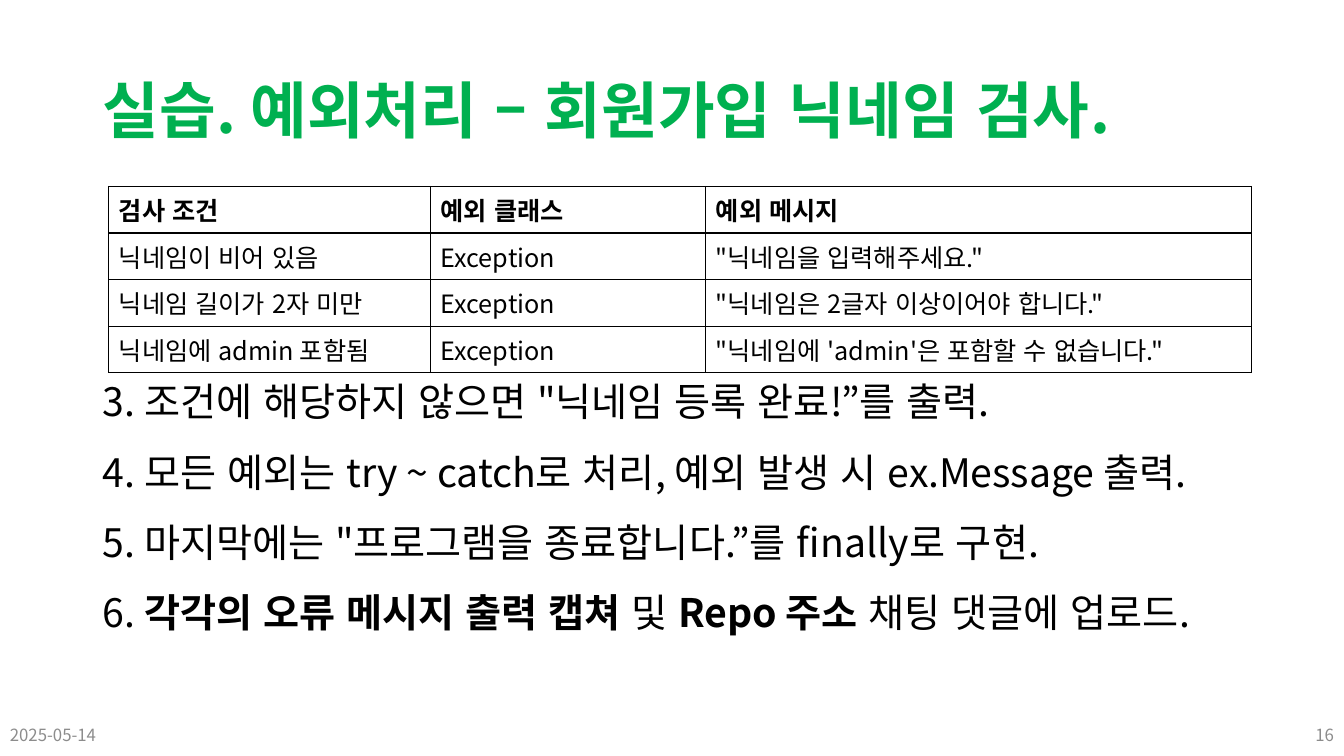
from dataclasses import dataclass

from lxml.etree import SubElement
from pptx import Presentation
from pptx.dml.color import RGBColor
from pptx.enum.lang import MSO_LANGUAGE_ID
from pptx.enum.text import MSO_ANCHOR, MSO_AUTO_SIZE, PP_ALIGN
from pptx.oxml.ns import qn
from pptx.util import Inches, Pt

FONT = "Noto Sans CJK KR"
COLORS = {"title": "00B050", "text": "000000", "foot": "8C8C8C", "line": "000000"}


@dataclass
class Box:
    left: float
    top: float
    width: float
    height: float

    def lengths(self) -> tuple:
        return tuple(Inches(n) for n in (self.left, self.top, self.width, self.height))


@dataclass
class Footer:
    text: str
    box: Box
    align: PP_ALIGN


@dataclass
class Run:
    text: str
    bold: bool = False


TITLE = "실습. 예외처리 – 회원가입 닉네임 검사."
TITLE_BOX = Box(0.92, 0.4, 11.5, 1.45)
STEP_BOX = Box(0.92, 3.6, 11.5, 3.3)
TABLE_BOX = Box(1.08, 1.85, 11.33, 1.84)
WIDTHS = [3.19, 2.73, 5.41]
ROWS = [
    ["검사 조건", "예외 클래스", "예외 메시지"],
    ["닉네임이 비어 있음", "Exception", '"닉네임을 입력해주세요."'],
    ["닉네임 길이가 2자 미만", "Exception", '"닉네임은 2글자 이상이어야 합니다."'],
    ["닉네임에 admin 포함됨", "Exception", "\"닉네임에 'admin'은 포함할 수 없습니다.\""],
]
STEPS = [
    [Run('3. 조건에 해당하지 않으면 "닉네임 등록 완료!”를 출력.')],
    [Run("4. 모든 예외는 try ~ catch로 처리, 예외 발생 시 ex.Message 출력.")],
    [Run('5. 마지막에는 "프로그램을 종료합니다.”를 finally로 구현.')],
    [Run("6. "), Run("각각의 오류 메시지 출력 캡쳐 ", True), Run("및 "),
     Run("Repo 주소 ", True), Run("채팅 댓글에 업로드.")],
]
FOOTERS = [
    Footer("2025-05-14", Box(0, 7.09, 3, 0.4), PP_ALIGN.LEFT),
    Footer("16", Box(10.33, 7.09, 3, 0.4), PP_ALIGN.RIGHT),
]


def style(para, size: float, color: str, bold: bool | None = None) -> None:
    """Set the font of a paragraph, for Latin and Korean text alike."""
    font = para.font
    font.name, font.size, font.bold = FONT, Pt(size), bold
    font.language_id = MSO_LANGUAGE_ID.KOREAN
    font.color.rgb = RGBColor.from_string(COLORS[color])
    props = para._p.pPr.find(qn("a:defRPr"))
    SubElement(props, qn("a:ea")).set("typeface", FONT)


def place(shape, box: Box) -> None:
    shape.left, shape.top, shape.width, shape.height = box.lengths()
    shape.text_frame.auto_size = MSO_AUTO_SIZE.NONE


def edge(cell, side: str, width: float) -> None:
    line = SubElement(cell._tc.get_or_add_tcPr(), qn(f"a:{side}"), w=str(Pt(width)))
    fill = SubElement(line, qn("a:solidFill"))
    SubElement(fill, qn("a:srgbClr"), val=COLORS["line"])


def add_title(slide) -> None:
    shape = slide.shapes.title
    place(shape, TITLE_BOX)
    shape.text_frame.vertical_anchor = MSO_ANCHOR.MIDDLE
    para = shape.text_frame.paragraphs[0]
    para.text, para.alignment, para.line_spacing = TITLE, PP_ALIGN.LEFT, 0.9
    style(para, 44, "title", True)


def add_steps(slide) -> None:
    shape = slide.placeholders[1]
    place(shape, STEP_BOX)
    frame = shape.text_frame
    for i, step in enumerate(STEPS):
        para = frame.add_paragraph() if i else frame.paragraphs[0]
        para.line_spacing, para.space_before = 1.2, Pt(10)
        props = para._p.get_or_add_pPr()
        props.set("marL", "0")
        props.set("indent", "0")
        SubElement(props, qn("a:buNone"))
        style(para, 28, "text")
        for part in step:
            run = para.add_run()
            run.text, run.font.bold = part.text, part.bold


def add_rules(slide) -> None:
    table = slide.shapes.add_table(len(ROWS), len(WIDTHS), *TABLE_BOX.lengths()).table
    table.horz_banding = False
    for col, width in zip(table.columns, WIDTHS):
        col.width = Inches(width)
    for r, texts in enumerate(ROWS):
        for c, text in enumerate(texts):
            cell = table.cell(r, c)
            cell.vertical_anchor = MSO_ANCHOR.MIDDLE
            para = cell.text_frame.paragraphs[0]
            para.text = text
            style(para, 18, "text", r == 0)
            # The rule under the header is thicker
            for side in ("lnL", "lnR", "lnT", "lnB"):
                thick = (r, side) in ((0, "lnB"), (1, "lnT"))
                edge(cell, side, 2 if thick else 1)
            cell.fill.background()


def add_footer(slide, foot: Footer) -> None:
    frame = slide.shapes.add_textbox(*foot.box.lengths()).text_frame
    frame.word_wrap = True
    frame.vertical_anchor = MSO_ANCHOR.MIDDLE
    para = frame.paragraphs[0]
    para.text, para.alignment = foot.text, foot.align
    style(para, 12, "foot")


def main() -> None:
    deck = Presentation()
    deck.slide_width, deck.slide_height = Inches(13.33), Inches(7.5)
    slide = deck.slides.add_slide(deck.slide_layouts[1])
    # Steps lie behind the title and the table
    add_steps(slide)
    add_title(slide)
    add_rules(slide)
    for foot in FOOTERS:
        add_footer(slide, foot)
    deck.save("out.pptx")


if __name__ == "__main__":
    main()
